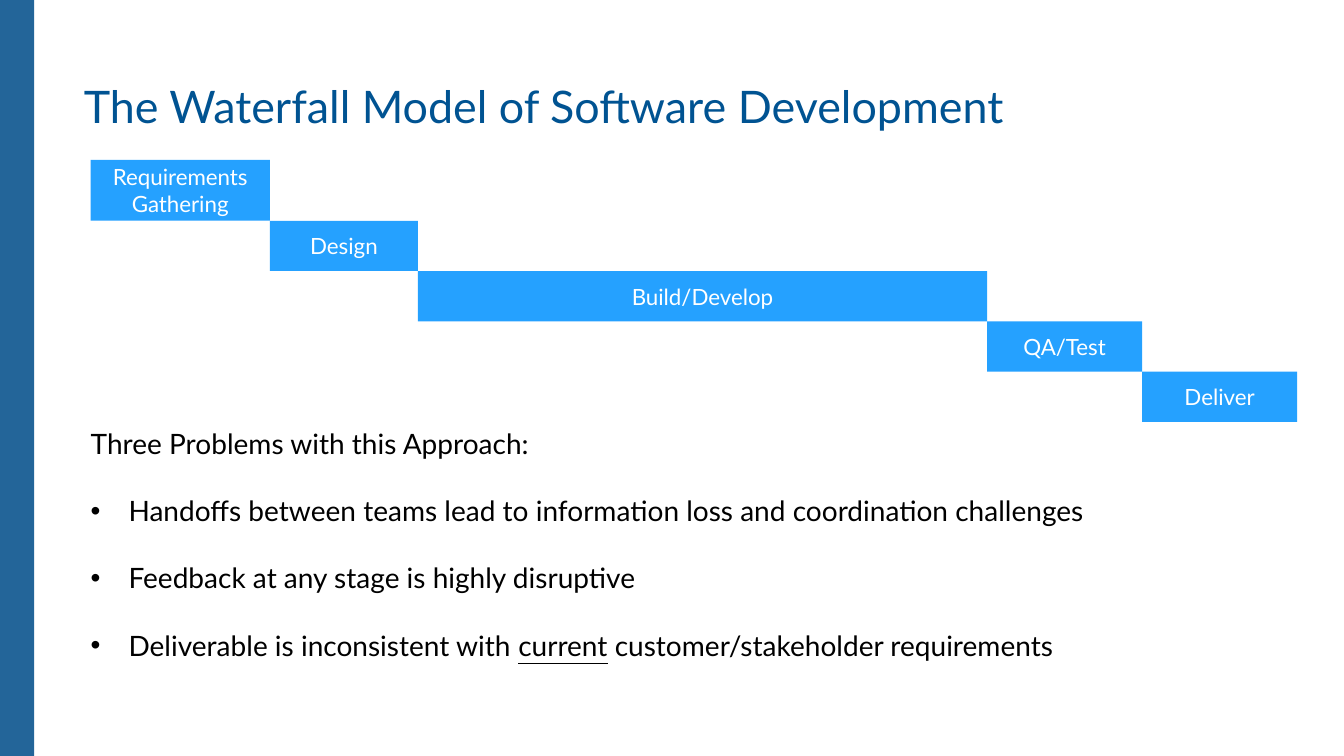
from dataclasses import dataclass

from lxml import etree
from pptx import Presentation
from pptx.dml.color import RGBColor
from pptx.enum.shapes import MSO_SHAPE
from pptx.enum.text import MSO_ANCHOR, PP_ALIGN
from pptx.oxml.ns import qn
from pptx.util import Inches, Pt

RECTANGLE = MSO_SHAPE.RECTANGLE
TOP, MIDDLE = MSO_ANCHOR.TOP, MSO_ANCHOR.MIDDLE
LEFT, CENTER = PP_ALIGN.LEFT, PP_ALIGN.CENTER


@dataclass(frozen=True)
class Theme:
    font: str = "Lato"
    title_color: str = "005392"
    stage_color: str = "25A1FF"
    stage_text: str = "FFFFFF"
    body_color: str = "000000"
    sidebar_color: str = "236599"
    title_size: float = 42.7
    stage_size: float = 21.3
    body_size: float = 26.7
    body_gap: float = 32


THEME = Theme()
SLIDE_WIDTH, SLIDE_HEIGHT = Inches(17.78), Inches(10)

TITLE = "The Waterfall Model of Software Development"
STAGES = [
    ("Requirements Gathering", 13.33, 8.05),
    ("Design", 11.02, 6.65),
    ("Build/Develop", 42.35, 6.65),
    ("QA/Test", 11.53, 6.65),
    ("Deliver", 11.53, 6.65),
]
INTRO = "Three Problems with this Approach:"
PROBLEMS = [
    [("Handoffs between teams lead to information loss and coordination challenges", False)],
    [("Feedback at any stage is highly disruptive", False)],
    [
        ("Deliverable is inconsistent with ", False),
        ("current", True),
        (" customer/stakeholder requirements", False),
    ],
]

TITLE_AREA = (6.24, 11.1, 91.11, 6.6)
BODY_AREA = (6.75, 56.4, 90.61, 38.6)
SIDEBAR_AREA = (0, 0, 2.55, 100)
STAGE_LEFT, STAGE_TOP = 6.75, 21.15


def place(left, top, width, height):
    return (
        round(SLIDE_WIDTH * left / 100),
        round(SLIDE_HEIGHT * top / 100),
        round(SLIDE_WIDTH * width / 100),
        round(SLIDE_HEIGHT * height / 100),
    )


def add_block(page, area, color):
    block = page.shapes.add_shape(RECTANGLE, *place(*area))
    block.shadow.inherit = False
    block.fill.solid()
    block.fill.fore_color.rgb = RGBColor.from_string(color)
    block.line.fill.background()
    return block


def add_frame(page, area, anchor):
    frame = page.shapes.add_textbox(*place(*area)).text_frame
    frame.word_wrap = True
    frame.vertical_anchor = anchor
    frame.margin_left = frame.margin_right = 0
    frame.margin_top = frame.margin_bottom = 0
    return frame


def add_bullet(para):
    properties = para._p.get_or_add_pPr()
    properties.set("marL", str(Inches(0.5)))
    properties.set("indent", str(-Inches(0.5)))
    font = etree.SubElement(properties, qn("a:buFont"))
    font.set("typeface", "Arial")
    bullet = etree.SubElement(properties, qn("a:buChar"))
    bullet.set("char", "•")


def write(para, text, size, color, align=LEFT, underline=False):
    para.alignment = align
    span = para.add_run()
    span.text = text
    span.font.name = THEME.font
    span.font.size = Pt(size)
    span.font.color.rgb = RGBColor.from_string(color)
    if underline:
        span.font.underline = True


def add_stages(page):
    left, top = STAGE_LEFT, STAGE_TOP
    for label, width, height in STAGES:
        frame = add_block(page, (left, top, width, height), THEME.stage_color).text_frame
        frame.word_wrap = True
        frame.vertical_anchor = MIDDLE
        write(frame.paragraphs[0], label, THEME.stage_size, THEME.stage_text, align=CENTER)
        left += width
        top += height


def add_problems(page):
    frame = add_frame(page, BODY_AREA, TOP)
    write(frame.paragraphs[0], INTRO, THEME.body_size, THEME.body_color)
    for problem in PROBLEMS:
        para = frame.add_paragraph()
        para.space_before = Pt(THEME.body_gap)
        add_bullet(para)
        for text, underline in problem:
            write(para, text, THEME.body_size, THEME.body_color, underline=underline)


def main():
    deck = Presentation()
    deck.slide_width, deck.slide_height = SLIDE_WIDTH, SLIDE_HEIGHT
    page = deck.slides.add_slide(deck.slide_layouts[6])

    heading = add_frame(page, TITLE_AREA, MIDDLE).paragraphs[0]
    heading.line_spacing = 0.9
    write(heading, TITLE, THEME.title_size, THEME.title_color)
    add_stages(page)
    add_problems(page)
    add_block(page, SIDEBAR_AREA, THEME.sidebar_color)
    deck.save("out.pptx")


if __name__ == "__main__":
    main()
